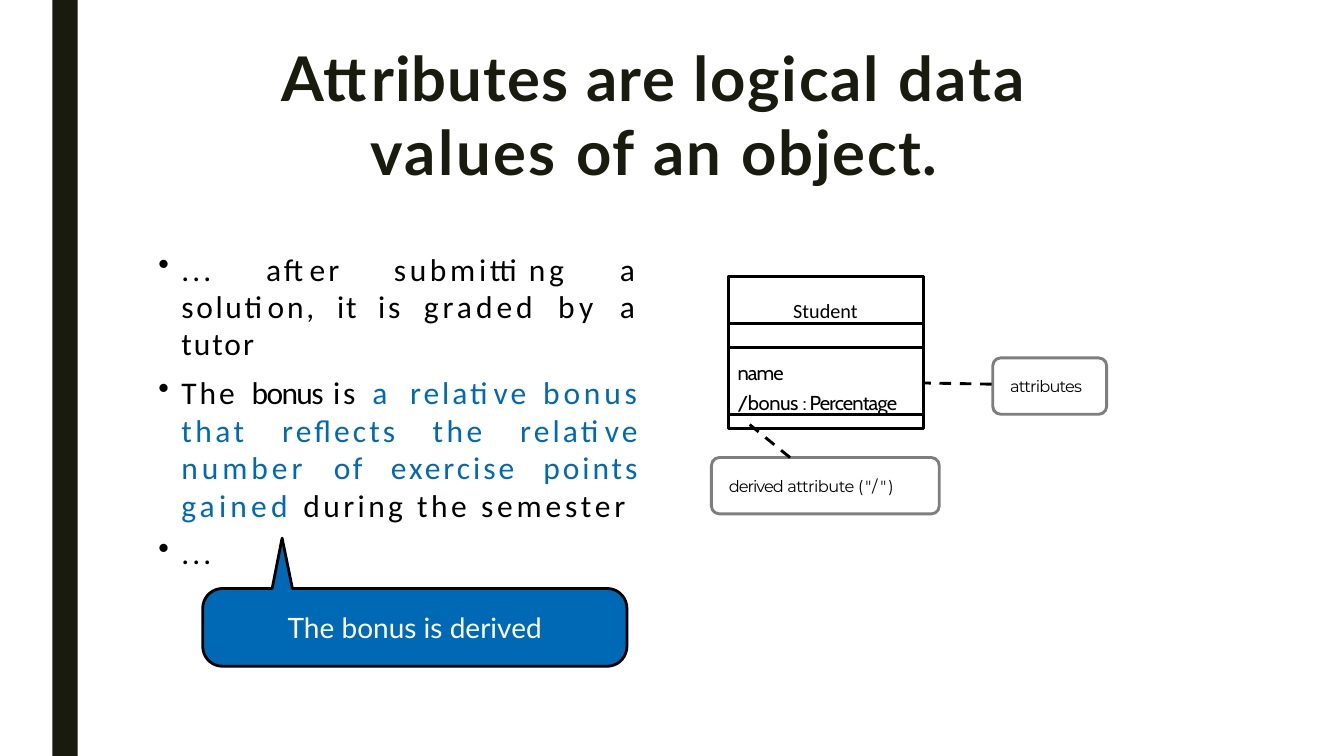
from math import cos, radians, sin

from lxml import etree
from pptx import Presentation
from pptx.dml.color import RGBColor
from pptx.enum.dml import MSO_LINE
from pptx.enum.shapes import MSO_CONNECTOR, MSO_SHAPE
from pptx.enum.text import MSO_ANCHOR, PP_ALIGN
from pptx.oxml.ns import qn
from pptx.util import Cm, Pt

RECTANGLE, ROUNDED = MSO_SHAPE.RECTANGLE, MSO_SHAPE.ROUNDED_RECTANGLE
STRAIGHT, DASH = MSO_CONNECTOR.STRAIGHT, MSO_LINE.DASH
LEFT, CENTER, JUSTIFY = PP_ALIGN.LEFT, PP_ALIGN.CENTER, PP_ALIGN.JUSTIFY
TOP, MIDDLE = MSO_ANCHOR.TOP, MSO_ANCHOR.MIDDLE
DARK, BLACK, WHITE, GRAY, BLUE = "191B0E", "000000", "FFFFFF", "7E7E7E", "0069B5"
color = RGBColor.from_string


def paint(shape, fill=None, line=None, width=2.06):
    shape.shadow.inherit = False
    if fill:
        shape.fill.solid()
        shape.fill.fore_color.rgb = color(fill)
    else:
        shape.fill.background()
    if line:
        shape.line.color.rgb = color(line)
        shape.line.width = Pt(width)
    else:
        shape.line.fill.background()


def write(shape, paragraphs, font, size, ink=BLACK, bold=False, align=LEFT,
          anchor=TOP, left=0, top=0, gaps=(0,), leading=None, bullet=None):
    """Each paragraph is a list of (text, letter spacing, optional colour)."""
    frame = shape.text_frame
    frame.word_wrap = True
    frame.vertical_anchor = anchor
    frame.margin_left, frame.margin_top = Cm(left), Cm(top)
    frame.margin_right = frame.margin_bottom = 0
    for index, (runs, gap) in enumerate(zip(paragraphs, gaps)):
        paragraph = frame.add_paragraph() if index else frame.paragraphs[0]
        paragraph.alignment = align
        if gap:
            paragraph.space_before = Pt(gap)
        if leading:
            paragraph.line_spacing = Pt(leading)
        if bullet:
            properties = paragraph._p.get_or_add_pPr()
            properties.set("marL", str(Cm(0.66)))
            properties.set("indent", str(-Cm(0.58)))
            etree.SubElement(properties, qn("a:buChar")).set("char", bullet)
        for text, spacing, *run_ink in runs:
            run = paragraph.add_run()
            run.text = text
            run.font.name, run.font.size, run.font.bold = font, Pt(size), bold
            run.font.color.rgb = color(run_ink[0] if run_ink else ink)
            run._r.get_or_add_rPr().set("spc", str(round(spacing * 100)))


presentation = Presentation()
presentation.slide_width, presentation.slide_height = Cm(33.87), Cm(19.05)
slide = presentation.slides.add_slide(presentation.slide_layouts[6])
shapes = slide.shapes

# Side bar
side_bar = shapes.add_shape(RECTANGLE, Cm(1.32), 0, Cm(0.64), Cm(19.05))
paint(side_bar, DARK)

# Title
title = shapes.add_textbox(Cm(5.31), Cm(0.97), Cm(22.35), Cm(3.78))
write(title, [[("Attributes ", 0.8), ("are ", 1.1), ("logical ", 1.3), ("data ", 1.6),
               ("values ", 1.8), ("of ", 1.5), ("an ", 1.8), ("object.", 1.2)]],
      "Lato", 44, DARK, bold=True, align=CENTER, top=0.03)

# Class box: each compartment is a frame with a shorter text cell on top
class_left, class_width = Cm(18.36), Cm(4.92)
compartments = [
    (8.74, 2.06, 1.7, [[("name", -0.7)],
                       [("/bonus ", -0.3), (": ", -1.3), ("Percentage", -0.6)]],
     dict(font="Cabin", left=0.23, top=0.33, gaps=(0, 4.5))),
    (6.96, 1.8, 1.19, [[("Student", 0)]],
     dict(font="Calibri", left=1.63, top=0.56)),
]
for top, frame_height, cell_height, lines, text_format in compartments:
    for height, fill in ((frame_height, WHITE), (cell_height, None)):
        cell = shapes.add_shape(RECTANGLE, class_left, Cm(top), class_width, Cm(height))
        paint(cell, fill, BLACK)
    write(cell, lines, size=14.4, **text_format)

# Notes with dashed leaders
notes = [
    (25.02, 9.02, 2.87, [("attributes", -0.6)], (24.99, 9.68, 23.27, 9.65)),
    (17.93, 11.53, 5.74, [("derived ", -0.7), ("attribute ", -0.4), ('("/")', 1.3)],
     (19.91, 11.53, 18.82, 10.64)),
]
for left, top, width, runs, leader_ends in notes:
    note = shapes.add_shape(ROUNDED, Cm(left), Cm(top), Cm(width), Cm(1.42))
    note.adjustments[0] = 0.14
    paint(note, None, GRAY)
    write(note, [runs], "Montserrat", 11.6, anchor=MIDDLE, left=0.38)
    leader = shapes.add_connector(STRAIGHT, *map(Cm, leader_ends))
    leader.line.color.rgb = color(BLACK)
    leader.line.width = Pt(2.06)
    leader.line.dash_style = DASH
    etree.SubElement(leader._element.spPr, qn("a:effectLst"))

# Callout: a rounded box with a narrow pointer on its top edge
box_left, box_top, box_right, box_bottom, radius = 5.11, 14.83, 15.8, 16.79, 0.5
outline = [(7.11, 13.56), (7.37, box_top)]
corners = [(box_right - radius, box_top + radius, 270),
           (box_right - radius, box_bottom - radius, 0),
           (box_left + radius, box_bottom - radius, 90),
           (box_left + radius, box_top + radius, 180)]
for center_x, center_y, start in corners:
    for step in range(0, 91, 10):
        angle = radians(start + step)
        outline.append((center_x + radius * cos(angle), center_y + radius * sin(angle)))
outline.append((6.86, box_top))
points = [(Cm(x), Cm(y)) for x, y in outline]
builder = shapes.build_freeform(*points[0])
builder.add_line_segments(points[1:], close=True)
callout = builder.convert_to_shape()
paint(callout, BLUE, BLACK, 2)
write(callout, [[("The bonus is derived", 0)]], "Lato", 20, WHITE,
      align=CENTER, anchor=MIDDLE, top=1.27)

# Bullet list
bullets = shapes.add_textbox(Cm(3.91), Cm(6.22), Cm(12.24), Cm(8.36))
write(bullets, [
    [("... ", 2.2), ("after ", 2.1), ("submitting ", 2.6), ("a ", 4.2),
     ("solution, ", 1.9), ("it ", 1.3), ("is ", 2.1), ("graded ", 2.8),
     ("by ", 3.2), ("a ", 4.2), ("tutor", 1.4)],
    [("The ", 2.1), ("bonus ", -1.2), ("is ", 2.1), ("a ", 4.2, BLUE),
     ("relative ", 2.1, BLUE), ("bonus ", 2.7, BLUE), ("that ", 2.5, BLUE),
     ("reﬂects ", 2.2, BLUE), ("the ", 2.5, BLUE), ("relative ", 2.2, BLUE),
     ("number ", 2.8, BLUE), ("of ", 1.8, BLUE), ("exercise points ", 2.1, BLUE),
     ("gained ", 3, BLUE), ("during ", 2.4), ("the ", 2.5), ("semester", 2.7)],
    [("...", 2.2)],
], "Calibri", 22.5, align=JUSTIFY, top=0.08, gaps=(0, 8.4, 7.3), leading=26.7, bullet="•")

presentation.save("out.pptx")
